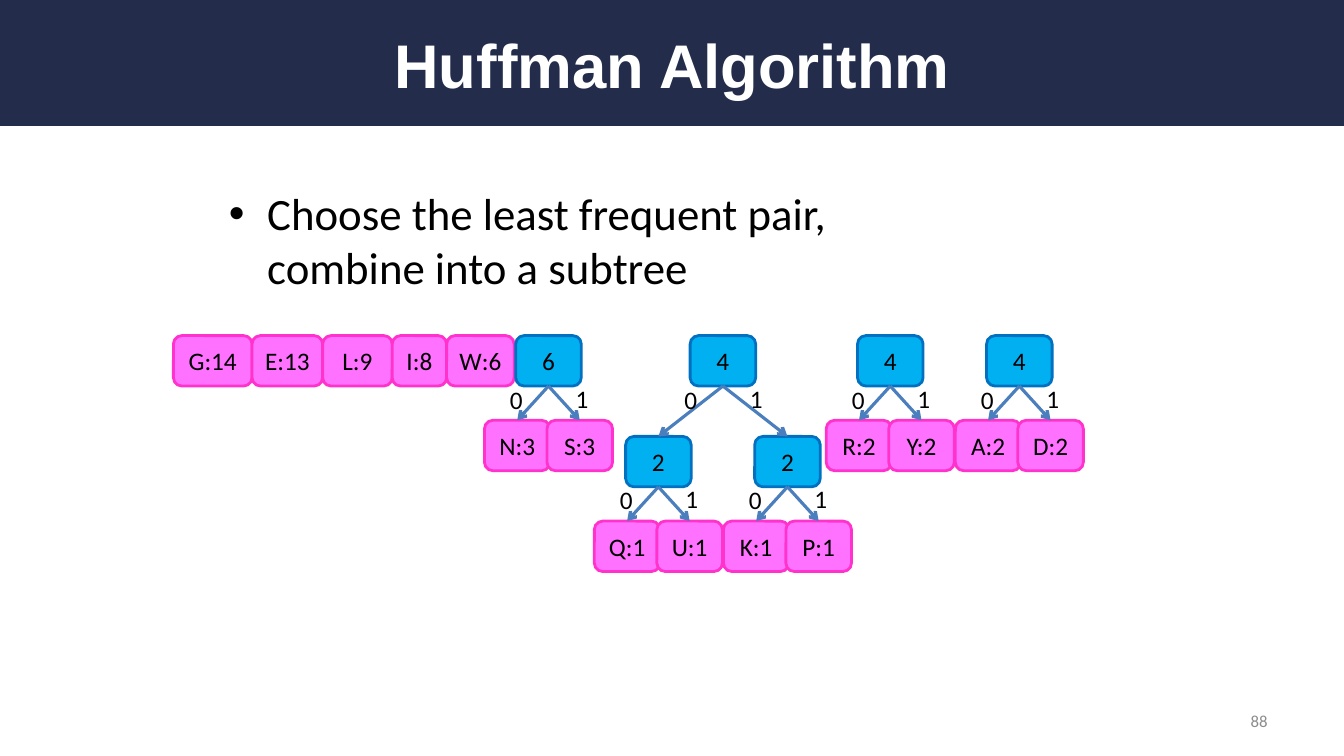
from dataclasses import dataclass
from typing import Optional

from lxml import etree
from pptx import Presentation
from pptx.dml.color import RGBColor
from pptx.enum.shapes import MSO_CONNECTOR, MSO_SHAPE
from pptx.enum.text import MSO_ANCHOR, MSO_AUTO_SIZE, PP_ALIGN
from pptx.oxml.ns import qn
from pptx.util import Inches, Pt

RECTANGLE = MSO_SHAPE.RECTANGLE
ROUNDED = MSO_SHAPE.ROUNDED_RECTANGLE
STRAIGHT = MSO_CONNECTOR.STRAIGHT
MIDDLE = MSO_ANCHOR.MIDDLE
LEFT, CENTER, RIGHT = PP_ALIGN.LEFT, PP_ALIGN.CENTER, PP_ALIGN.RIGHT
FIT_SHAPE, NO_FIT = MSO_AUTO_SIZE.SHAPE_TO_FIT_TEXT, MSO_AUTO_SIZE.NONE

NAVY, WHITE, BLACK, GRAY = "232D4B", "FFFFFF", "000000", "8C8C8C"
PINK, PINK_LINE = "FF71FF", "FF33CC"
BLUE, BLUE_LINE, ARROW_COLOR = "00B0F0", "0070C0", "4B7EBC"

ROW_TOP, ROW_LEFT = 3.33, 1.72
NODE_WIDTH, NODE_HEIGHT = 0.65, 0.5
LEAF_SPREAD, LEAF_DROP = 0.31, 0.84
BRANCH_SPREAD, BRANCH_DROP = 0.64, 1.0


@dataclass
class Node:
    label: str
    left: Optional["Node"] = None
    right: Optional["Node"] = None


@dataclass
class Symbol:
    label: str
    width: float


@dataclass
class Tree:
    center: float
    root: Node


SYMBOLS = [Symbol("G:14", 0.78), Symbol("E:13", 0.7), Symbol("L:9", 0.69),
           Symbol("I:8", 0.54), Symbol("W:6", 0.67)]
TREES = [
    Tree(7.17, Node("4", Node("2", Node("Q:1"), Node("U:1")),
                    Node("2", Node("K:1"), Node("P:1")))),
    Tree(8.83, Node("4", Node("R:2"), Node("Y:2"))),
    Tree(10.11, Node("4", Node("A:2"), Node("D:2"))),
    Tree(5.44, Node("6", Node("N:3"), Node("S:3"))),
]


def color(value: str) -> RGBColor:
    return RGBColor.from_string(value)


def place(shape, left: float, top: float, width: float, height: float) -> None:
    shape.left, shape.top = Inches(left), Inches(top)
    shape.width, shape.height = Inches(width), Inches(height)


def write(shape, text: str, size: float, text_color: str = BLACK, align=CENTER,
          font_name: str = "Calibri", bold: bool = False) -> None:
    shape.text_frame.text = text
    paragraph = shape.text_frame.paragraphs[0]
    paragraph.alignment = align
    font = paragraph.runs[0].font
    font.name, font.size, font.bold = font_name, Pt(size), bold
    font.color.rgb = color(text_color)


def add_box(shapes, label: str, left: float, top: float, width: float,
            fill: str, line: str) -> None:
    box = shapes.add_shape(ROUNDED, Inches(left), Inches(top),
                           Inches(width), Inches(NODE_HEIGHT))
    box.shadow.inherit = False
    box.fill.solid()
    box.fill.fore_color.rgb = color(fill)
    box.line.color.rgb = color(line)
    box.line.width = Pt(2)
    write(box, label, 18)
    frame = box.text_frame
    frame.vertical_anchor = MIDDLE
    frame.margin_left = frame.margin_right = 0


def add_arrow(shapes, x1: float, y1: float, x2: float, y2: float) -> None:
    arrow = shapes.add_connector(STRAIGHT, Inches(x1), Inches(y1),
                                 Inches(x2), Inches(y2))
    arrow.line.color.rgb = color(ARROW_COLOR)
    arrow.line.width = Pt(2.25)
    properties = arrow.element.spPr
    etree.SubElement(properties.find(qn("a:ln")), qn("a:tailEnd"), type="arrow")
    etree.SubElement(properties, qn("a:effectLst"))


def add_bit(shapes, bit: str, left: float, top: float) -> None:
    text_box = shapes.add_textbox(Inches(left), Inches(top), Inches(0.33), Inches(0.4))
    text_box.text_frame.word_wrap = False
    text_box.text_frame.auto_size = FIT_SHAPE
    write(text_box, bit, 18, align=LEFT)


def add_node(shapes, node: Node, center: float, top: float) -> None:
    """Draw a node above its children, with arrows marked 0 and 1."""
    left = center - NODE_WIDTH / 2
    if node.left is None or node.right is None:
        add_box(shapes, node.label, left, top, NODE_WIDTH, PINK, PINK_LINE)
        return
    over_leaves = node.left.left is None
    spread = LEAF_SPREAD if over_leaves else BRANCH_SPREAD
    child_top = top + (LEAF_DROP if over_leaves else BRANCH_DROP)
    add_node(shapes, node.left, center - spread, child_top)
    add_node(shapes, node.right, center + spread, child_top)
    add_box(shapes, node.label, left, top, NODE_WIDTH, BLUE, BLUE_LINE)
    for child_center in (center - spread, center + spread):
        add_arrow(shapes, center, top + NODE_HEIGHT, child_center, child_top)
    add_bit(shapes, "0", center - 0.48, top + 0.43)
    add_bit(shapes, "1", center + 0.17, top + 0.42)


def add_heading(slide) -> None:
    banner = slide.shapes.add_shape(RECTANGLE, 0, 0, Inches(13.33), Inches(1.25))
    banner.shadow.inherit = False
    banner.fill.solid()
    banner.fill.fore_color.rgb = color(NAVY)
    banner.line.fill.background()
    banner.element.getparent().insert(2, banner.element)

    title = slide.shapes.title
    place(title, 0.67, 0.17, 12, 0.92)
    write(title, "Huffman Algorithm", 44, WHITE, font_name="Arial", bold=True)
    title.text_frame.vertical_anchor = MIDDLE
    title.text_frame.auto_size = NO_FIT


def add_body(slide) -> None:
    body = slide.placeholders[1]
    place(body, 2.17, 1.75, 7.4, 1.25)
    write(body, "Choose the least frequent pair, combine into a subtree", 32, align=LEFT)
    body.text_frame.vertical_anchor = MIDDLE
    body.text_frame.auto_size = NO_FIT
    paragraph = body.text_frame.paragraphs[0]
    paragraph.space_before = Pt(0)
    properties = paragraph._p.get_or_add_pPr()
    properties.set("marL", str(Inches(0.38)))
    properties.set("indent", str(Inches(-0.38)))
    etree.SubElement(properties, qn("a:buFont"), typeface="Arial")
    etree.SubElement(properties, qn("a:buChar"), char="•")


def add_page_number(slide) -> None:
    number = slide.shapes.add_textbox(Inches(9.56), Inches(6.95), Inches(3.11), Inches(0.4))
    number.text_frame.word_wrap = True
    number.text_frame.vertical_anchor = MIDDLE
    write(number, "88", 12, GRAY, RIGHT)


def main() -> None:
    presentation = Presentation()
    presentation.slide_width, presentation.slide_height = Inches(13.33), Inches(7.5)
    slide = presentation.slides.add_slide(presentation.slide_layouts[1])
    add_heading(slide)
    add_body(slide)
    add_page_number(slide)

    left = ROW_LEFT
    for symbol in SYMBOLS:
        add_box(slide.shapes, symbol.label, left, ROW_TOP, symbol.width, PINK, PINK_LINE)
        left += symbol.width
    for tree in TREES:
        add_node(slide.shapes.add_group_shape().shapes, tree.root, tree.center, ROW_TOP)
    presentation.save("out.pptx")


if __name__ == "__main__":
    main()
